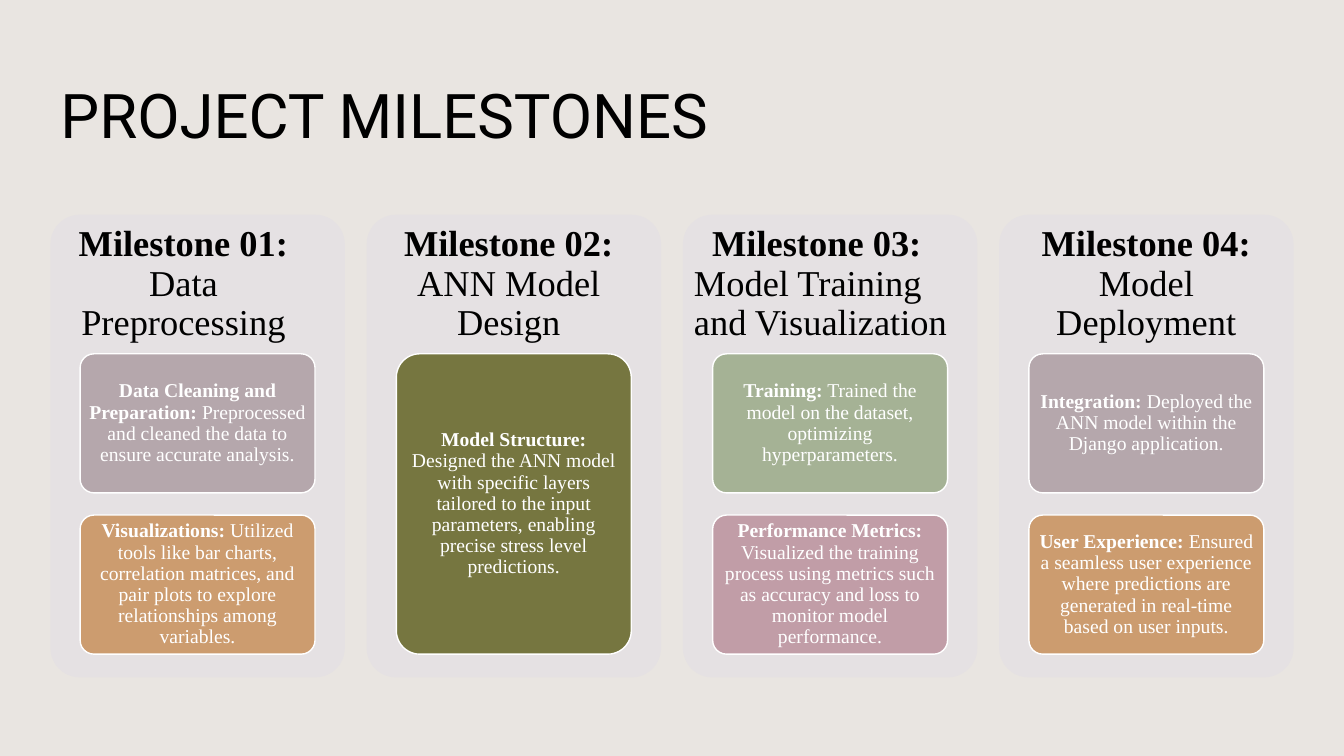
from pptx import Presentation
from pptx import util as u
from pptx.dml.color import RGBColor
from pptx.enum import shapes, text

SERIF = "Times New Roman"
PANEL_W, PANEL_H, HEAD_H = 2.92, 4.59, 1.38
CARD_W, CARDS_H, CARD_GAP = 2.33, 2.98, 0.22
LEFT, TOP, SPAN = 0.5, 2.13, 12.33
MAUVE, TAN, OLIVE, SAGE, ROSE = "B5A7AC", "CC9C6F", "767640", "A5B295", "C19DA7"
CENTER, START = text.PP_ALIGN.CENTER, text.PP_ALIGN.LEFT

MILESTONES = [
    ("Milestone 01:", "Data Preprocessing", CENTER, 0, 0.28, [
        (MAUVE, "Data Cleaning and Preparation:",
         " Preprocessed and cleaned the data to ensure accurate analysis."),
        (TAN, "Visualizations:",
         " Utilized tools like bar charts, correlation matrices, and pair plots"
         " to explore relationships among variables.")]),
    ("Milestone 02:", "ANN Model Design", CENTER, 0, 0.1, [
        (OLIVE, "Model Structure:",
         " Designed the ANN model with specific layers tailored to the input"
         " parameters, enabling precise stress level predictions.")]),
    ("Milestone 03:", "Model Training and Visualization", START, 0.18, 0, [
        (SAGE, "Training:",
         " Trained the model on the dataset, optimizing hyperparameters."),
        (ROSE, "Performance Metrics:",
         " Visualized the training process using metrics such as accuracy and"
         " loss to monitor model performance.")]),
    ("Milestone 04:", "Model Deployment", CENTER, 0, 0, [
        (MAUVE, "Integration:",
         " Deployed the ANN model within the Django application."),
        (TAN, "User Experience:",
         " Ensured a seamless user experience where predictions are generated"
         " in real-time based on user inputs.")]),
]


def rgb(value):
    """Turn a hex string into a colour."""
    return RGBColor.from_string(value)


def set_all(obj, fmt):
    """Set every attribute named in a dict of format values."""
    for name, value in fmt.items():
        setattr(obj, name, value)


def set_frame(tf, side, edge):
    """Wrap a text frame, centre it vertically and set its margins."""
    set_all(tf, {
        "word_wrap": True, "vertical_anchor": text.MSO_ANCHOR.MIDDLE,
        "margin_left": u.Inches(side), "margin_right": u.Inches(side),
        "margin_top": u.Inches(edge), "margin_bottom": u.Inches(edge)})


def add_run(p, words, size, color, bold=False, font=SERIF):
    """Add a formatted run to a paragraph."""
    r = p.add_run()
    r.text = words
    set_all(r.font, {"name": font, "size": u.Pt(size), "bold": bold})
    r.font.color.rgb = rgb(color)


def add_round_box(s, x, y, w, h, fill, line=None):
    """Add a rounded rectangle with an optional outline."""
    sp = s.shapes.add_shape(shapes.MSO_SHAPE.ROUNDED_RECTANGLE,
                            u.Inches(x), u.Inches(y), u.Inches(w), u.Inches(h))
    sp.adjustments[0] = 0.1
    sp.shadow.inherit = False
    sp.fill.solid()
    sp.fill.fore_color.rgb = rgb(fill)
    if line:
        sp.line.color.rgb = rgb(line)
        sp.line.width = u.Pt(1)
    else:
        sp.line.fill.background()
    return sp


def add_heading(s, x, number, name, align, indent, right):
    """Add the milestone number and name at the top of a panel."""
    sp = s.shapes.add_textbox(u.Inches(x), u.Inches(TOP),
                              u.Inches(PANEL_W), u.Inches(HEAD_H))
    tf = sp.text_frame
    set_frame(tf, 0.11, 0.11)
    first, second = tf.paragraphs[0], tf.add_paragraph()
    for p, words, bold in ((first, number, True), (second, name, False)):
        set_all(p, {"alignment": align, "line_spacing": 0.9})
        add_run(p, words, 26, "000000", bold)
    pPr = first._p.get_or_add_pPr()
    pPr.set("marL", str(u.Inches(indent)))
    pPr.set("marR", str(u.Inches(right)))


def add_card(s, x, y, h, fill, label, body):
    """Add a coloured card with a bold label and its description."""
    sp = add_round_box(s, x, y, CARD_W, h, fill, "FFFFFF")
    set_frame(sp.text_frame, 0.04, 0.03)
    p = sp.text_frame.paragraphs[0]
    set_all(p, {"alignment": CENTER, "line_spacing": 0.9})
    add_run(p, label, 14, "FFFFFF", True)
    add_run(p, body, 14, "FFFFFF")


def add_milestone(s, x, number, name, align, indent, right, cards):
    """Add one panel with its heading and equally tall cards."""
    add_round_box(s, x, TOP, PANEL_W, PANEL_H, "E5E1E3")
    add_heading(s, x, number, name, align, indent, right)
    h = (CARDS_H - CARD_GAP * (len(cards) - 1)) / len(cards)
    for i, card in enumerate(cards):
        add_card(s, x + (PANEL_W - CARD_W) / 2,
                 TOP + HEAD_H + i * (h + CARD_GAP), h, *card)


def add_title(s, words):
    """Place and format the slide title."""
    sp = s.shapes.title
    set_all(sp, {"left": u.Inches(0.5), "top": u.Inches(0.4),
                 "width": u.Inches(11.92), "height": u.Inches(1.45)})
    set_frame(sp.text_frame, 0.1, 0.05)
    p = sp.text_frame.paragraphs[0]
    p.alignment = START
    add_run(p, words, 44, "000000", font="Roboto")


def main():
    """Build the slide and save it."""
    prs = Presentation()
    set_all(prs, {"slide_width": u.Inches(13.33), "slide_height": u.Inches(7.5)})
    s = prs.slides.add_slide(prs.slide_layouts[5])
    s.background.fill.solid()
    s.background.fill.fore_color.rgb = rgb("E9E5E1")
    add_title(s, "PROJECT MILESTONES")
    step = (SPAN - PANEL_W) / (len(MILESTONES) - 1)
    for i, milestone in enumerate(MILESTONES):
        add_milestone(s, LEFT + i * step, *milestone)
    prs.save("out.pptx")


if __name__ == "__main__":
    main()
